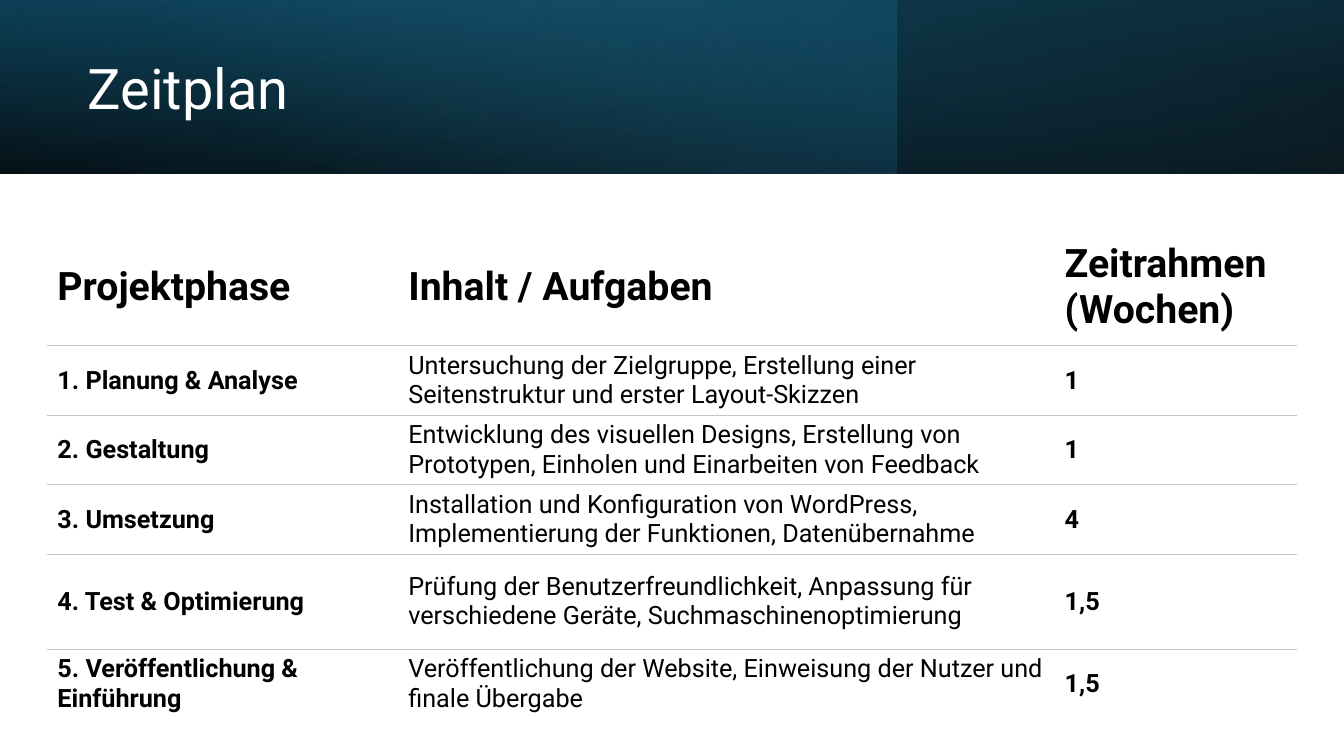
from pptx import Presentation
from pptx.dml.color import RGBColor
from pptx.enum.shapes import MSO_SHAPE
from pptx.enum.text import MSO_ANCHOR, MSO_AUTO_SIZE, PP_ALIGN
from pptx.oxml import parse_xml
from pptx.oxml.ns import nsdecls, qn
from pptx.util import Inches, Pt

BLACK = RGBColor(0x00, 0x00, 0x00)
WHITE = RGBColor(0xFF, 0xFF, 0xFF)
NAVY = RGBColor(0x10, 0x48, 0x62)
TEAL = RGBColor(0x15, 0x60, 0x82)
SKY = RGBColor(0x46, 0xB1, 0xE1)
GREY = RGBColor(0xC7, 0xC6, 0xC1)
FONT = "Roboto"
PLAIN = "{2D5ABB26-0587-4C30-8999-92F81FD0307C}"
WIDTH = 13.33

BANDS = [
    (WIDTH, 100, [(0, BLACK, 96), (100, NAVY, 100)], True, 180),
    (8.89, 140, [(0, TEAL, 41), (74, SKY, 0)], False, 0),
    (WIDTH, 260, [(0, BLACK, 63), (78, TEAL, 15)], True, 0),
]
COLS = [3.48, 6.51, 2.4]
ROWS = [
    (1.17, "Projektphase", "Inhalt / Aufgaben", "Zeitrahmen (Wochen)"),
    (0.69, "1. Planung & Analyse",
     "Untersuchung der Zielgruppe, Erstellung einer Seitenstruktur und erster Layout-Skizzen", "1"),
    (0.69, "2. Gestaltung",
     "Entwicklung des visuellen Designs, Erstellung von Prototypen, Einholen und Einarbeiten von Feedback", "1"),
    (0.69, "3. Umsetzung",
     "Installation und Konfiguration von WordPress, Implementierung der Funktionen, Datenübernahme", "4"),
    (0.94, "4. Test & Optimierung",
     "Prüfung der Benutzerfreundlichkeit, Anpassung für verschiedene Geräte, Suchmaschinenoptimierung", "1,5"),
    (0.69, "5. Veröffentlichung & Einführung",
     "Veröffentlichung der Website, Einweisung der Nutzer und finale Übergabe", "1,5"),
]


def assign(item, values):
    for key, value in values.items():
        setattr(item, key, value)


def style(font, color, size, bold):
    assign(font, {"name": FONT, "size": Pt(size), "bold": bold})
    font.color.rgb = color


def add_band(slide, width, angle, stops, flip, turn):
    band = slide.shapes.add_shape(MSO_SHAPE.RECTANGLE, 0, 0, Inches(width), Inches(1.72))
    band.shadow.inherit = False
    band.line.fill.background()
    band.rotation = turn
    props = band.element.spPr
    if flip:
        props.find(qn("a:xfrm")).set("flipH", "1")
    marks = "".join(
        f'<a:gs pos="{pos * 1000}"><a:srgbClr val="{color}">'
        f'<a:alpha val="{alpha * 1000}"/></a:srgbClr></a:gs>'
        for pos, color, alpha in stops)
    props.insert(2, parse_xml(
        f'<a:gradFill {nsdecls("a")} rotWithShape="1"><a:gsLst>{marks}</a:gsLst>'
        f'<a:lin ang="{angle * 60000}" scaled="0"/></a:gradFill>'))


def set_title(slide, text):
    title = slide.shapes.title
    slide.shapes.element.append(title.element)
    assign(title, {"left": Inches(0.77), "top": Inches(0.27),
                   "width": Inches(7.72), "height": Inches(1.27)})
    frame = title.text_frame
    assign(frame, {"text": text, "word_wrap": True, "auto_size": MSO_AUTO_SIZE.NONE,
                   "vertical_anchor": MSO_ANCHOR.MIDDLE})
    para = frame.paragraphs[0]
    assign(para, {"alignment": PP_ALIGN.LEFT, "line_spacing": 0.9, "space_after": Pt(6)})
    style(para.runs[0].font, WHITE, 40, False)


def add_rule(cell, side):
    cell._tc.get_or_add_tcPr().append(parse_xml(
        f'<a:{side} {nsdecls("a")} w="{Pt(0.75)}"><a:solidFill>'
        f'<a:srgbClr val="{GREY}"/></a:solidFill></a:{side}>'))


def fill_cell(cell, text, size, bold):
    assign(cell, {"text": text, "vertical_anchor": MSO_ANCHOR.MIDDLE})
    cell.fill.background()
    style(cell.text_frame.paragraphs[0].runs[0].font, BLACK, size, bold)


def add_plan(slide):
    high = sum(row[0] for row in ROWS)
    frame = slide.shapes.add_table(len(ROWS), len(COLS), Inches(0.47), Inches(2.26),
                                   Inches(sum(COLS)), Inches(high))
    table = frame.table
    assign(table, {"first_row": False, "horz_banding": False})
    table._tbl.tblPr.find(qn("a:tableStyleId")).text = PLAIN
    for column, width in zip(table.columns, COLS):
        column.width = Inches(width)
    for r, (height, *texts) in enumerate(ROWS):
        table.rows[r].height = Inches(height)
        for c, text in enumerate(texts):
            cell = table.cell(r, c)
            if r > 0:
                add_rule(cell, "lnT")
            if r < len(ROWS) - 1:
                add_rule(cell, "lnB")
            fill_cell(cell, text, 18 if r else 28, r == 0 or c != 1)


def main():
    deck = Presentation()
    assign(deck, {"slide_width": Inches(WIDTH), "slide_height": Inches(7.5)})
    slide = deck.slides.add_slide(deck.slide_layouts[5])
    for band in BANDS:
        add_band(slide, *band)
    set_title(slide, "Zeitplan")
    add_plan(slide)
    deck.save("out.pptx")


if __name__ == "__main__":
    main()
